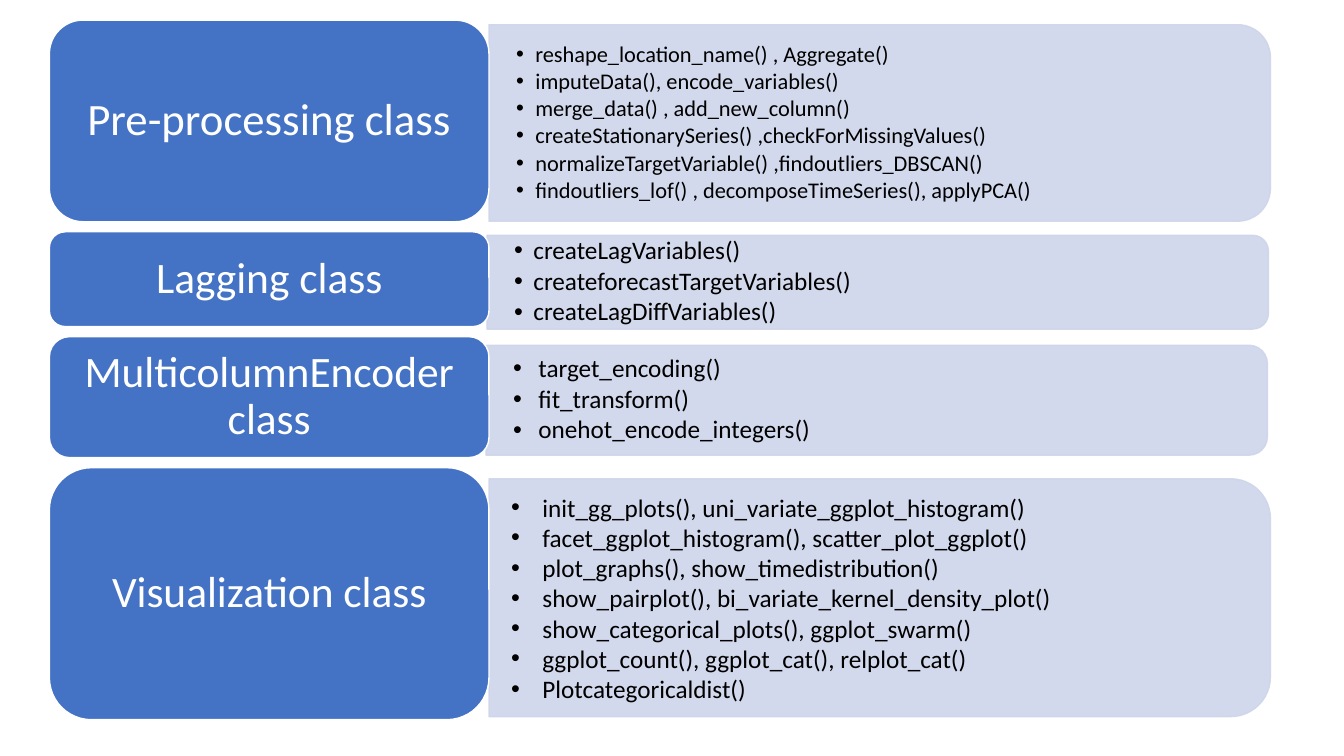
import lxml.etree
import pptx
import pptx.dml.color
import pptx.enum.shapes
import pptx.enum.text
import pptx.oxml.ns
import pptx.util

Inches = pptx.util.Inches
Pt = pptx.util.Pt
SHAPE = pptx.enum.shapes.MSO_SHAPE
QN = pptx.oxml.ns.qn
COLORS = {"label": "4472C4", "panel": "CFD5EA", "white": "FFFFFF", "text": "000000"}
LEFT, TOP, GAP = 0.49, 0.2, 0.1
LABEL_W, PANEL_W = 4.36, 7.75

ROWS = [
    {"title": "Pre-processing class", "size": 32, "high": 2, "panel": 1.95, "drop": 0.02,
     "left": 4.85, "inset": 0.27, "hang": 0.19, "pt": 16, "line": 0.9, "after": 2.2,
     "items": ["reshape_location_name() , Aggregate()",
               "imputeData(), encode_variables()",
               "merge_data() , add_new_column()",
               "createStationarySeries() ,checkForMissingValues()",
               "normalizeTargetVariable() ,findoutliers_DBSCAN()",
               "findoutliers_lof() , decomposeTimeSeries(), applyPCA()"]},
    {"title": "Lagging class", "size": 31, "high": 0.94, "panel": 0.93, "drop": 0.03,
     "left": 4.83, "inset": 0.27, "hang": 0.19, "pt": 18, "line": 0.9, "after": 2.4,
     "items": ["createLagVariables()", "createforecastTargetVariables()",
               "createLagDiffVariables()"]},
    {"title": "MulticolumnEncoder class", "size": 31, "high": 1.2, "panel": 1.09, "drop": 0.03,
     "left": 4.82, "inset": 0.27, "hang": 0.25, "pt": 18, "line": 0.9, "after": 2.4,
     "items": ["target_encoding()", "fit_transform()", "onehot_encode_integers()"]},
    {"title": "Visualization class", "size": 31, "high": 2.5, "panel": 2.36, "drop": 0.04,
     "left": 4.85, "inset": 0.22, "hang": 0.31, "pt": 18, "line": 1.0, "after": 0,
     "items": ["init_gg_plots(), uni_variate_ggplot_histogram()",
               "facet_ggplot_histogram(), scatter_plot_ggplot()",
               "plot_graphs(), show_timedistribution()",
               "show_pairplot(), bi_variate_kernel_density_plot()",
               "show_categorical_plots(), ggplot_swarm()",
               "ggplot_count(), ggplot_cat(), relplot_cat()",
               "Plotcategoricaldist()"]},
]


def color(name):
    """Return the named colour."""
    return pptx.dml.color.RGBColor.from_string(COLORS[name])


def shape(slide, kind, box, fill, edge):
    """Add a flat filled shape in the box."""
    part = slide.shapes.add_shape(kind, *map(Inches, box))
    part.shadow.inherit = False
    part.fill.solid()
    part.fill.fore_color.rgb = color(fill)
    part.line.color.rgb = color(edge)
    part.line.width = Pt(1)
    return part


def frame(part, side):
    """Prepare a wrapped, vertically centred text frame."""
    text = part.text_frame
    text.word_wrap = True
    text.vertical_anchor = pptx.enum.text.MSO_ANCHOR.MIDDLE
    text.margin_left = text.margin_right = Inches(side)
    text.margin_top = text.margin_bottom = 0
    return text


def write(para, words, size, tint):
    """Add one run to the paragraph."""
    run = para.add_run()
    run.text = words
    run.font.name = "Calibri"
    run.font.size = Pt(size)
    run.font.color.rgb = color(tint)


def bullet(para, hang):
    """Give the paragraph a hanging bullet."""
    props = para._p.get_or_add_pPr()
    props.set("marL", str(Inches(hang)))
    props.set("indent", str(-Inches(hang)))
    lxml.etree.SubElement(props, QN("a:buFont"), typeface="Arial")
    lxml.etree.SubElement(props, QN("a:buChar"), char="•")


def panel(slide, box):
    """Draw a translucent panel with its right corners rounded."""
    left, top, wide, high = box
    turned = (left + (wide - high) / 2, top + (high - wide) / 2, high, wide)
    part = shape(slide, SHAPE.ROUND_2_SAME_RECTANGLE, turned, "panel", "panel")
    part.rotation = 90
    for tint in part._element.spPr.iter(QN("a:srgbClr")):
        lxml.etree.SubElement(tint, QN("a:alpha"), val="90000")


def methods(slide, box, row):
    """Write the bulleted methods of a class in the box."""
    text = frame(slide.shapes.add_textbox(*map(Inches, box)), row["inset"])
    for spot, item in enumerate(row["items"]):
        para = text.add_paragraph() if spot else text.paragraphs[0]
        para.line_spacing = row["line"]
        para.space_after = Pt(row["after"])
        bullet(para, row["hang"])
        write(para, item, row["pt"], "text")


def label(slide, box, row):
    """Draw the rounded box with the class name."""
    part = shape(slide, SHAPE.ROUNDED_RECTANGLE, box, "label", "white")
    para = frame(part, 0.13).paragraphs[0]
    para.alignment = pptx.enum.text.PP_ALIGN.CENTER
    para.line_spacing = 0.9
    write(para, row["title"], row["size"], "white")


def band(slide, top, row):
    """Place one class: panel, methods and label."""
    start = top + (row["high"] - row["panel"]) / 2 + row["drop"]
    box = (row["left"], start, PANEL_W, row["panel"])
    panel(slide, box)
    methods(slide, box, row)
    label(slide, (LEFT, top, LABEL_W, row["high"]), row)


def main():
    """Build the slide and save it."""
    deck = pptx.Presentation()
    deck.slide_width, deck.slide_height = Inches(13.33), Inches(7.5)
    slide = deck.slides.add_slide(deck.slide_layouts[6])
    top = TOP
    for row in ROWS:
        band(slide, top, row)
        top += row["high"] + GAP
    deck.save("out.pptx")


if __name__ == "__main__":
    main()
